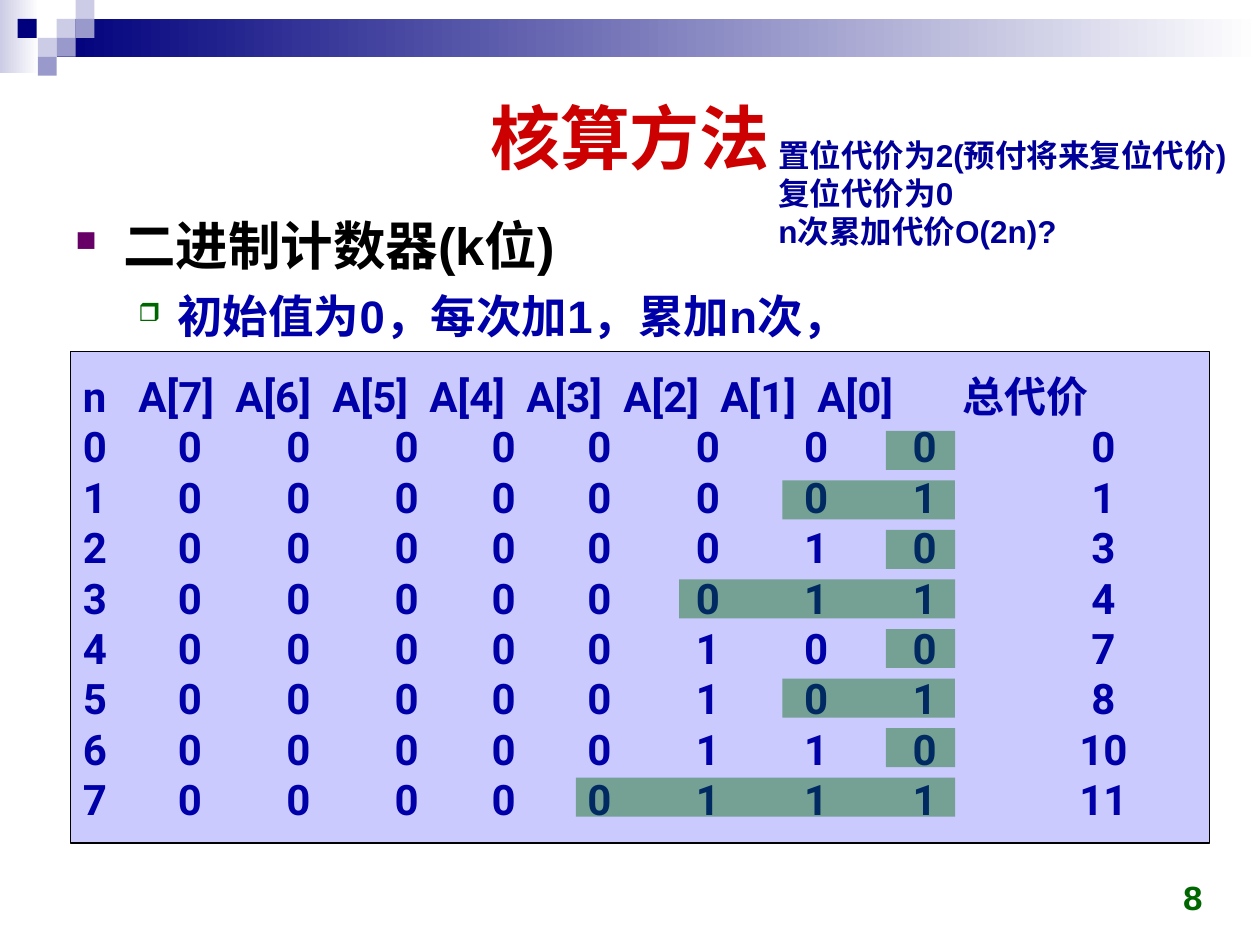
from typing import NamedTuple, Optional

from lxml.etree import SubElement
from pptx import Presentation
from pptx.dml.color import RGBColor
from pptx.enum.shapes import MSO_SHAPE
from pptx.enum.text import MSO_ANCHOR, PP_ALIGN
from pptx.oxml.ns import qn
from pptx.util import Inches, Pt

COLORS = {
    "navy": "00007D", "lavender": "CCCCE6", "violet": "9999CC", "white": "FFFFFF",
    "red": "CC0000", "black": "000000", "blue": "0000A8", "note": "000099",
    "green": "006600", "purple": "660066", "panel": "CACAFF",
}
BITS = 8
COUNTS = range(8)


class Box(NamedTuple):
    left: float
    top: float
    width: float
    height: float


class Tile(NamedTuple):
    box: Box
    color: str
    fade: bool = False


class Bullet(NamedTuple):
    char: str
    color: str
    margin: float
    hang: float


class Line(NamedTuple):
    text: str
    size: int
    color: str
    font: str = "Arial"
    align: PP_ALIGN = PP_ALIGN.LEFT
    bullet: Optional[Bullet] = None
    tabs: tuple[float, ...] = ()


def rgb(name: str) -> RGBColor:
    return RGBColor.from_string(COLORS[name])


def add_rect(slide, box: Box, color: str):
    rect = slide.shapes.add_shape(MSO_SHAPE.RECTANGLE, *map(Inches, box))
    rect.shadow.inherit = False
    rect.fill.solid()
    rect.fill.fore_color.rgb = rgb(color)
    rect.line.fill.background()
    return rect


def add_tile(slide, tile: Tile) -> None:
    rect = add_rect(slide, tile.box, tile.color)
    if tile.fade:
        rect.fill.gradient()
        rect.fill.gradient_angle = 0
        for stop, color in zip(rect.fill.gradient_stops, (tile.color, "white")):
            stop.color.rgb = rgb(color)


def set_bullet(paragraph, bullet: Bullet) -> None:
    paragraph.line_spacing = 1.05
    paragraph.space_before = Pt(5)
    props = paragraph._p.get_or_add_pPr()
    props.set("marL", str(Inches(bullet.margin)))
    props.set("indent", str(-Inches(bullet.hang)))
    SubElement(SubElement(props, qn("a:buClr")), qn("a:srgbClr"), val=COLORS[bullet.color])
    SubElement(props, qn("a:buSzPct"), val="55000")
    SubElement(props, qn("a:buChar"), char=bullet.char)


def set_tabs(paragraph, tabs: tuple[float, ...]) -> None:
    stops = SubElement(paragraph._p.get_or_add_pPr(), qn("a:tabLst"))
    for position in tabs:
        SubElement(stops, qn("a:tab"), pos=str(Inches(position)), algn="ctr")


def write(frame, lines: list[Line], anchor=MSO_ANCHOR.TOP) -> None:
    frame.word_wrap = True
    frame.vertical_anchor = anchor
    for index, line in enumerate(lines):
        paragraph = frame.add_paragraph() if index else frame.paragraphs[0]
        paragraph.text = line.text
        paragraph.alignment = line.align
        font = paragraph.font
        font.name, font.size, font.bold = line.font, Pt(line.size), True
        font.color.rgb = rgb(line.color)
        if line.bullet:
            set_bullet(paragraph, line.bullet)
        if line.tabs:
            set_tabs(paragraph, line.tabs)


def add_text(slide, box: Box, lines: list[Line], anchor=MSO_ANCHOR.TOP) -> None:
    write(slide.shapes.add_textbox(*map(Inches, box)).text_frame, lines, anchor)


def counter_lines() -> list[Line]:
    header_tabs = tuple(round(0.74 + 0.77 * i, 2) for i in range(BITS)) + (7.48,)
    digit_tabs = (0.85, 1.71, 2.57, 3.34, 4.1, 4.96, 5.82, 6.68, 8.1)
    names = [f"A[{bit}]" for bit in reversed(range(BITS))]
    lines = [Line("\t".join(["n", *names, "总代价"]), 24, "blue", "Roboto", tabs=header_tabs)]
    for n in COUNTS:
        bits = f"{n:0{BITS}b}"
        total = 2 * n - bits.count("1")  # bit flips made so far
        cells = [str(n), *bits, str(total)]
        lines.append(Line("\t".join(cells), 24, "blue", "Roboto", tabs=digit_tabs))
    return lines


def add_flip_mark(slide, n: int) -> None:
    flips = bin(n ^ (n + 1)).count("1")  # bits changed by the next increment
    width = 0.55 + 0.82 * (flips - 1)
    mark = add_rect(slide, Box(7.58 - width, 3.42 + 0.393 * n, width, 0.31), "green")
    color = mark.fill._xPr.find(f".//{qn('a:srgbClr')}")
    SubElement(color, qn("a:alpha"), val="42000")


prs = Presentation()
prs.slide_width, prs.slide_height = Inches(10), Inches(7.5)
slide = prs.slides.add_slide(prs.slide_layouts[6])

# Header band and tiles
SIDE = 0.15
for tile in (
    Tile(Box(0, 0, 0.31, 0.58), "lavender", fade=True),
    Tile(Box(0.45, 0.15, 9.55, 0.3), "navy", fade=True),
    Tile(Box(0.45, 0.15, SIDE, SIDE), "lavender"),
    Tile(Box(0.6, 0, SIDE, SIDE), "lavender"),
    Tile(Box(0.6, 0.15, SIDE, SIDE), "violet"),
    Tile(Box(0.3, 0.3, SIDE, SIDE), "lavender"),
    Tile(Box(0.14, 0.15, SIDE, SIDE), "navy"),
    Tile(Box(0.45, 0.3, SIDE, SIDE), "violet"),
    Tile(Box(0.3, 0.45, SIDE, SIDE), "violet"),
):
    add_tile(slide, tile)

# Title, outline and slide number
add_text(slide, Box(0.5, 0.5, 9, 1.16),
         [Line("核算方法", 40, "red", align=PP_ALIGN.CENTER)], MSO_ANCHOR.MIDDLE)
add_text(slide, Box(0.5, 1.62, 9, 5.2), [
    Line("二进制计数器(k位)", 30, "black", bullet=Bullet("■", "purple", 0.38, 0.38)),
    Line("初始值为0，每次加1，累加n次，", 26, "blue", bullet=Bullet("❒", "green", 0.81, 0.31)),
])
add_text(slide, Box(7.32, 6.83, 2.33, 0.5),
         [Line("8", 20, "green", "Courier New", PP_ALIGN.RIGHT)], MSO_ANCHOR.BOTTOM)

# Counter panel with the flipping bits marked
panel = add_rect(slide, Box(0.56, 2.79, 9.04, 3.9), "panel")
panel.line.color.rgb = rgb("black")
panel.line.width = Pt(0.75)
write(panel.text_frame, counter_lines(), MSO_ANCHOR.MIDDLE)
for n in COUNTS:
    add_flip_mark(slide, n)

# Cost note
add_text(slide, Box(6.08, 1.03, 3.79, 1.01), [
    Line(text, 18, "note")
    for text in ("置位代价为2(预付将来复位代价)", "复位代价为0", "n次累加代价O(2n)?")
])

prs.save("out.pptx")
